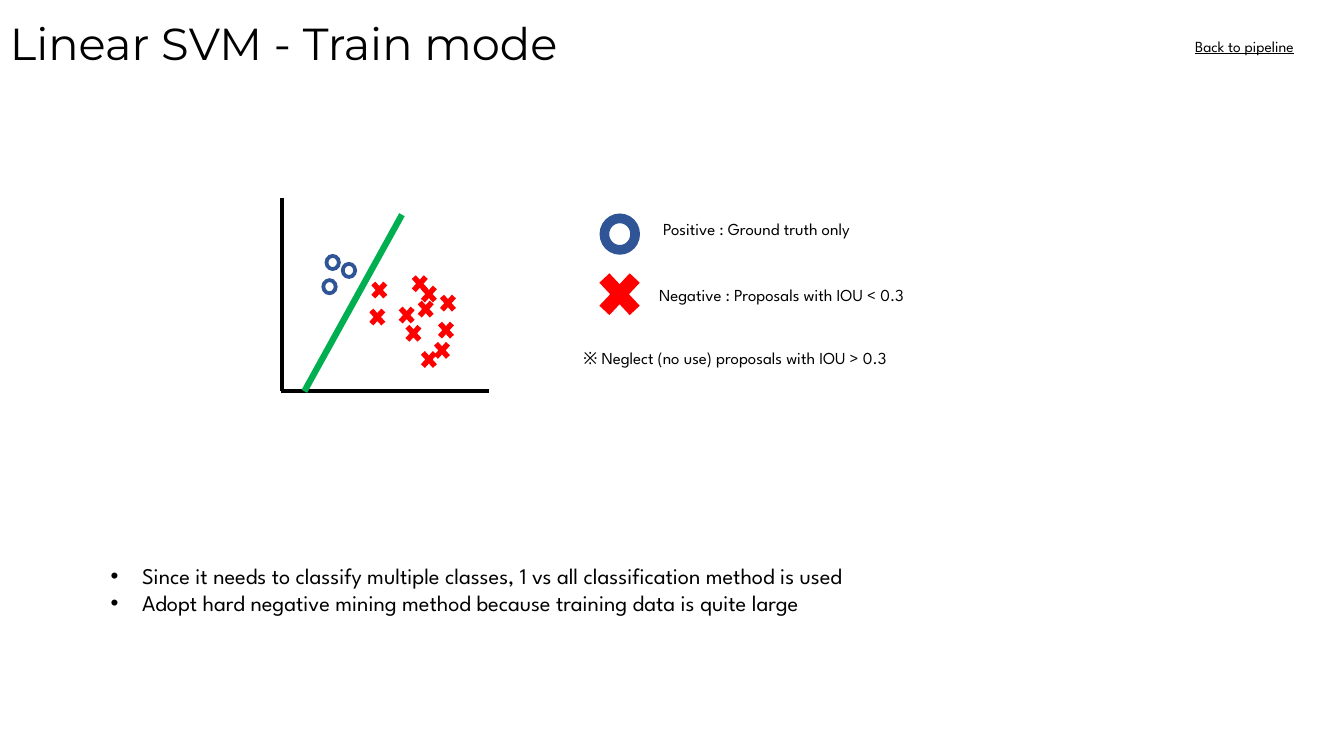
"""Build the slide on training a linear SVM."""
import pptx
import pptx.util
import pptx.dml.color
import pptx.enum.shapes
import pptx.enum.text
import pptx.oxml.ns
import lxml.etree

Cm = pptx.util.Cm
SHAPE = pptx.enum.shapes.MSO_SHAPE
BLUE, RED, GREEN, BLACK = "2F5597", "FF0000", "00B050", "000000"


def color(hex_string):
    """Turn a hex string into a colour."""
    return pptx.dml.color.RGBColor.from_string(hex_string)


def add_text(left, top, width, height, lines, size, font="League Spartan"):
    """Add a text box and return its text frame."""
    tf = slide.shapes.add_textbox(Cm(left), Cm(top), Cm(width), Cm(height)).text_frame
    tf.word_wrap = True
    tf.text = "\n".join(lines)
    for p in tf.paragraphs:
        for r in p.runs:
            r.font.size = pptx.util.Pt(size)
            r.font.name = font
            r.font.color.rgb = color(BLACK)
    return tf


prs = pptx.Presentation()
prs.slide_width, prs.slide_height = Cm(33.87), Cm(19.05)
slide = prs.slides.add_slide(prs.slide_layouts[6])

tf = add_text(0, 0, 33.87, 2.34, ["Linear SVM - Train mode"], 32, "Montserrat")
tf.vertical_anchor = pptx.enum.text.MSO_ANCHOR.MIDDLE
tf.paragraphs[0].line_spacing = 0.9

plot = slide.shapes.add_group_shape()
positives = [(8.18, 6.4), (8.1, 7.01), (8.59, 6.6)]
negatives = [(10.29, 6.83), (10.52, 7.09), (9.96, 7.62), (10.13, 8.08), (10.44, 7.47), (11, 7.32),
             (10.95, 8), (10.85, 8.51), (10.52, 8.74), (9.27, 6.99), (9.22, 7.67)]
marks = [(plot, SHAPE.DONUT, x, y, 0.41, 0.43, BLUE) for x, y in positives]
marks += [(plot, SHAPE.MATH_MULTIPLY, x, y, 0.58, 0.64, RED) for x, y in negatives]
marks += [(slide, SHAPE.DONUT, 15.11, 5.38, 1.02, 1.04, BLUE),
          (slide, SHAPE.MATH_MULTIPLY, 14.88, 6.63, 1.47, 1.57, RED)]
for parent, kind, left, top, width, height, fill in marks:
    sp = parent.shapes.add_shape(kind, Cm(left), Cm(top), Cm(width), Cm(height))
    sp.shadow.inherit = False
    sp.fill.solid()
    sp.fill.fore_color.rgb = color(fill)
    sp.line.fill.background()
    if kind == SHAPE.DONUT:
        sp.adjustments[0] = 0.24

for x1, y1, x2, y2, stroke, weight in [
    (7.11, 5, 7.11, 9.86, BLACK, 3),
    (7.09, 9.86, 12.32, 9.86, BLACK, 3),
    (7.67, 9.86, 10.13, 5.41, GREEN, 4.5),
]:
    line = plot.shapes.add_connector(pptx.enum.shapes.MSO_CONNECTOR.STRAIGHT, Cm(x1), Cm(y1), Cm(x2), Cm(y2))
    line.line.color.rgb = color(stroke)
    line.line.width = pptx.util.Pt(weight)
    lxml.etree.SubElement(line._element.spPr, pptx.oxml.ns.qn("a:effectLst"))

for left, top, width, label in [
    (16.46, 5.38, 6.1, "Positive : Ground truth only"),
    (16.36, 7.04, 7.75, "Negative : Proposals with IOU < 0.3"),
    (14.45, 8.64, 9.5, "※ Neglect (no use) proposals with IOU > 0.3"),
]:
    add_text(left, top, width, 0.77, [label], 12)

tf = add_text(2.54, 14.05, 22.96, 1.63, [
    "Since it needs to classify multiple classes, 1 vs all classification method is used",
    "Adopt hard negative mining method because training data is quite large",
], 16)
for p in tf.paragraphs:
    pPr = p._p.get_or_add_pPr()
    pPr.set("marL", str(Cm(0.79)))
    pPr.set("indent", str(-Cm(0.79)))
    lxml.etree.SubElement(pPr, pptx.oxml.ns.qn("a:buFont"), typeface="Arial")
    lxml.etree.SubElement(pPr, pptx.oxml.ns.qn("a:buChar"), char="•")

tf = add_text(29.87, 0.81, 3.63, 0.73, ["Back to pipeline"], 11)
tf.paragraphs[0].runs[0].font.underline = True

prs.save("out.pptx")
